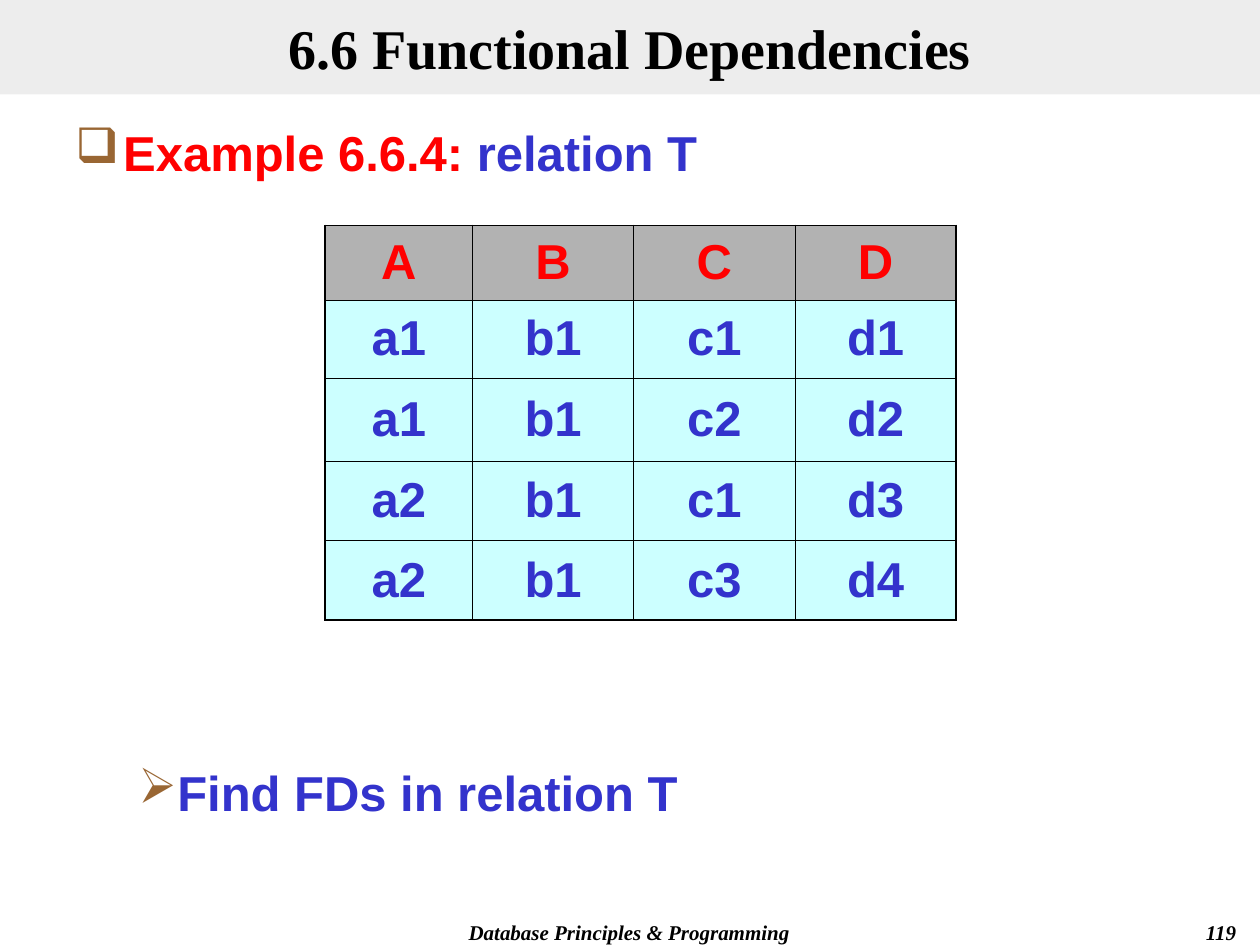
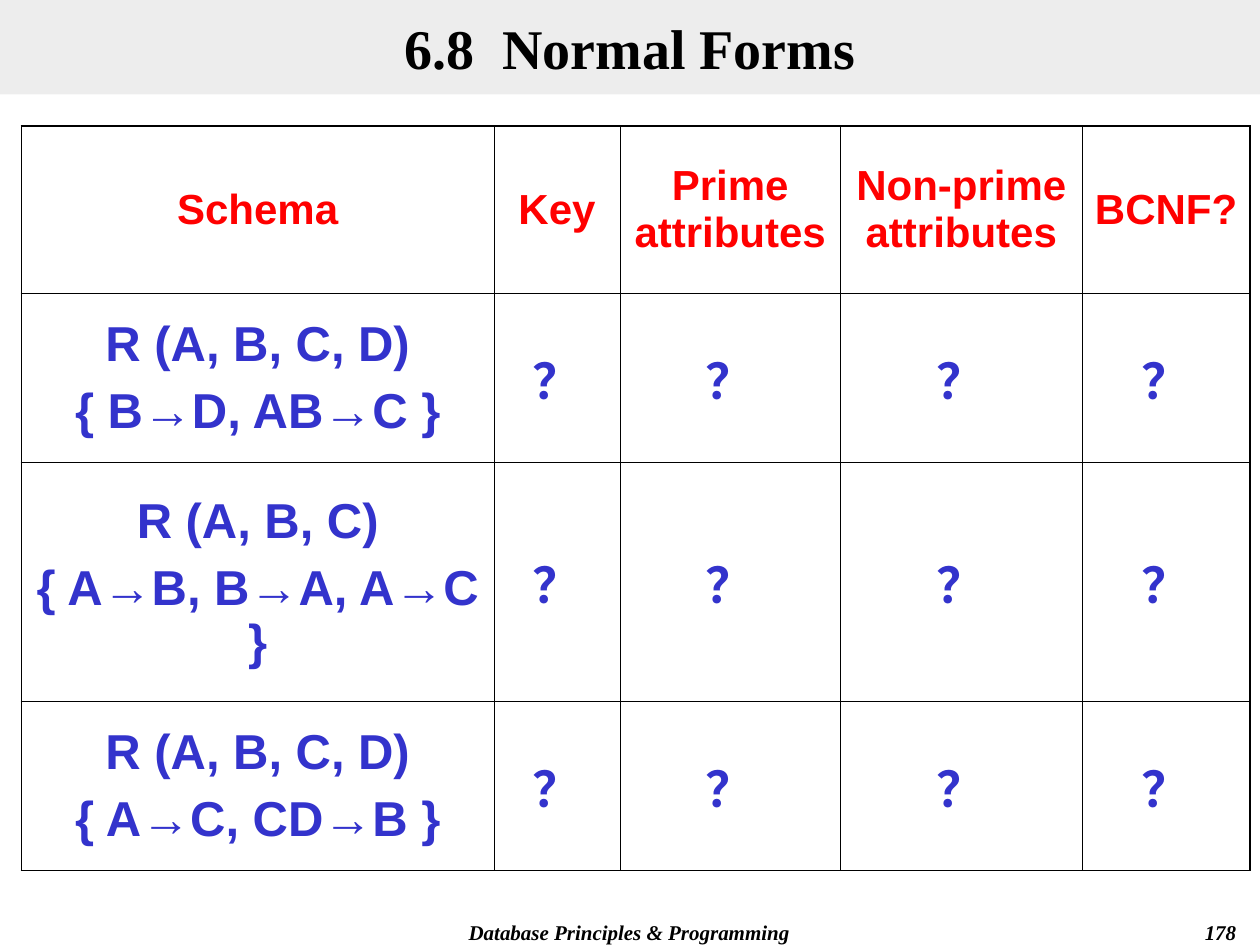
"""Build two database lecture slides: a sample relation and a normal form exercise."""
from dataclasses import dataclass

from lxml.etree import SubElement
from pptx import Presentation
from pptx.dml.color import RGBColor
from pptx.enum.text import MSO_ANCHOR, MSO_AUTO_SIZE, PP_ALIGN
from pptx.oxml.ns import qn
from pptx.slide import Slide
from pptx.util import Inches, Pt

TITLE_ONLY = 5


@dataclass(frozen=True)
class Theme:
    black: RGBColor = RGBColor.from_string("000000")
    red: RGBColor = RGBColor.from_string("FF0000")
    blue: RGBColor = RGBColor.from_string("3333CC")
    bullet: RGBColor = RGBColor.from_string("996633")
    band: RGBColor = RGBColor.from_string("DDDDDD")
    gray: RGBColor = RGBColor.from_string("B2B2B2")
    cyan: RGBColor = RGBColor.from_string("CCFFFF")
    serif: str = "Times New Roman"
    sans: str = "Arial"
    title_size: int = 32
    body_size: int = 28
    header_size: int = 24
    footer_size: int = 12
    para_gap: int = 7
    outer_line: float = 1.08
    inner_line: float = 0.45


THEME = Theme()


@dataclass(frozen=True)
class Box:
    left: float
    top: float
    width: float
    height: float

    def emu(self) -> tuple:
        return tuple(Inches(v) for v in (self.left, self.top, self.width, self.height))


@dataclass(frozen=True)
class Run:
    text: str
    color: RGBColor = THEME.blue
    size: int = THEME.body_size
    font: str = THEME.sans
    italic: bool = False


@dataclass(frozen=True)
class Bullet:
    box: Box
    char: str
    margin: float
    hang: float
    runs: tuple


@dataclass(frozen=True)
class Grid:
    left: float
    top: float
    cols: tuple
    heights: tuple
    header: tuple
    rows: tuple
    header_size: int
    header_fill: RGBColor | None = None
    body_fill: RGBColor | None = None


TITLE_BOX = Box(0, 0, 10, 0.75)
FOOTER_BOX = Box(2.83, 7.25, 4.33, 0.25)
NUMBER_BOX = Box(7.83, 7.25, 2.08, 0.25)

BULLETS = (
    Bullet(Box(0.5, 0.92, 9, 0.6), "❑", 0.38, 0.38,
           (Run("Example 6.6.4: ", THEME.red), Run("relation T"))),
    Bullet(Box(0.5, 6, 9, 0.6), "➢", 0.81, 0.31, (Run("Find FDs in relation T"),)),
)

RELATION = Grid(
    2.58, 1.79, (1.17, 1.28, 1.28, 1.28), (0.59, 0.62, 0.66, 0.63, 0.63),
    ("A", "B", "C", "D"),
    (("a1", "b1", "c1", "d1"),
     ("a1", "b1", "c2", "d2"),
     ("a2", "b1", "c1", "d3"),
     ("a2", "b1", "c3", "d4")),
    THEME.body_size, THEME.gray, THEME.cyan,
)

UNKNOWN = ("？",) * 4
SCHEMAS = Grid(
    0.17, 1, (3.75, 1, 1.75, 1.92, 1.33), (1.33, 1.34, 1.9, 1.34),
    ("Schema", "Key", "Prime attributes", "Non-prime attributes", "BCNF?"),
    (("R (A, B, C, D)\n{ B→D, AB→C }", *UNKNOWN),
     ("R (A, B, C)\n{ A→B, B→A, A→C }", *UNKNOWN),
     ("R (A, B, C, D)\n{ A→C, CD→B }", *UNKNOWN)),
    THEME.header_size,
)


def add_run(p, run: Run) -> None:
    r = p.add_run()
    r.text = run.text
    r.font.name = run.font
    r.font.size = Pt(run.size)
    r.font.bold = True
    r.font.italic = run.italic
    r.font.color.rgb = run.color


def add_text(s: Slide, box: Box, runs: tuple, align: PP_ALIGN = PP_ALIGN.LEFT):
    tf = s.shapes.add_textbox(*box.emu()).text_frame
    tf.word_wrap = True
    p = tf.paragraphs[0]
    p.alignment = align
    for run in runs:
        add_run(p, run)
    return p


def add_bullet(s: Slide, bullet: Bullet) -> None:
    p = add_text(s, bullet.box, bullet.runs)
    pPr = p._p.get_or_add_pPr()
    pPr.set("marL", str(Inches(bullet.margin)))
    pPr.set("indent", str(-Inches(bullet.hang)))
    color = SubElement(pPr, qn("a:buClr"))
    SubElement(color, qn("a:srgbClr"), val=str(THEME.bullet))
    SubElement(pPr, qn("a:buChar"), char=bullet.char)


def add_base(prs, title: str, number: int) -> Slide:
    s = prs.slides.add_slide(prs.slide_layouts[TITLE_ONLY])
    sp = s.shapes.title
    sp.left, sp.top, sp.width, sp.height = TITLE_BOX.emu()
    sp.fill.solid()
    sp.fill.fore_color.rgb = THEME.band
    color = sp._element.spPr.find(qn("a:solidFill"))[0]
    SubElement(color, qn("a:alpha"), val="50000")
    tf = sp.text_frame
    tf.auto_size = MSO_AUTO_SIZE.NONE
    tf.vertical_anchor = MSO_ANCHOR.MIDDLE
    p = tf.paragraphs[0]
    p.alignment = PP_ALIGN.CENTER
    add_run(p, Run(title, THEME.black, THEME.title_size, THEME.serif))
    footers = ((FOOTER_BOX, "Database Principles & Programming", PP_ALIGN.CENTER),
               (NUMBER_BOX, str(number), PP_ALIGN.RIGHT))
    for box, text, align in footers:
        add_text(s, box, (Run(text, THEME.black, THEME.footer_size, THEME.serif, True),), align)
    return s


def set_borders(cell, outer: dict) -> None:
    tcPr = cell._tc.get_or_add_tcPr()
    for side, is_outer in outer.items():
        width = THEME.outer_line if is_outer else THEME.inner_line
        ln = SubElement(tcPr, qn(f"a:ln{side}"), w=str(Pt(width)))
        fill = SubElement(ln, qn("a:solidFill"))
        SubElement(fill, qn("a:srgbClr"), val=str(THEME.black))


def fill_cell(cell, text: str, color: RGBColor, size: int, fill: RGBColor | None) -> None:
    if fill is None:
        cell.fill.background()
    else:
        cell.fill.solid()
        cell.fill.fore_color.rgb = fill
    cell.vertical_anchor = MSO_ANCHOR.MIDDLE
    tf = cell.text_frame
    for i, line in enumerate(text.split("\n")):
        p = tf.add_paragraph() if i else tf.paragraphs[0]
        p.alignment = PP_ALIGN.CENTER
        if i:
            p.space_before = Pt(THEME.para_gap)
        add_run(p, Run(line, color, size))


def add_grid(s: Slide, grid: Grid) -> None:
    box = Box(grid.left, grid.top, sum(grid.cols), sum(grid.heights))
    last_row, last_col = len(grid.heights) - 1, len(grid.cols) - 1
    table = s.shapes.add_table(last_row + 1, last_col + 1, *box.emu()).table
    table.first_row = table.horz_banding = False
    for col, width in zip(table.columns, grid.cols):
        col.width = Inches(width)
    for row, height in zip(table.rows, grid.heights):
        row.height = Inches(height)
    for i, texts in enumerate((grid.header, *grid.rows)):
        if i == 0:
            style = (THEME.red, grid.header_size, grid.header_fill)
        else:
            style = (THEME.blue, THEME.body_size, grid.body_fill)
        for j, text in enumerate(texts):
            cell = table.cell(i, j)
            set_borders(cell, {"L": j == 0, "R": j == last_col, "T": i == 0, "B": i == last_row})
            fill_cell(cell, text, *style)


def main() -> None:
    prs = Presentation()
    prs.slide_width, prs.slide_height = Inches(10), Inches(7.5)

    s = add_base(prs, "6.6 Functional Dependencies", 119)
    for bullet in BULLETS:
        add_bullet(s, bullet)
    add_grid(s, RELATION)

    s = add_base(prs, "6.8  Normal Forms", 178)
    add_grid(s, SCHEMAS)

    prs.save("out.pptx")


if __name__ == "__main__":
    main()
